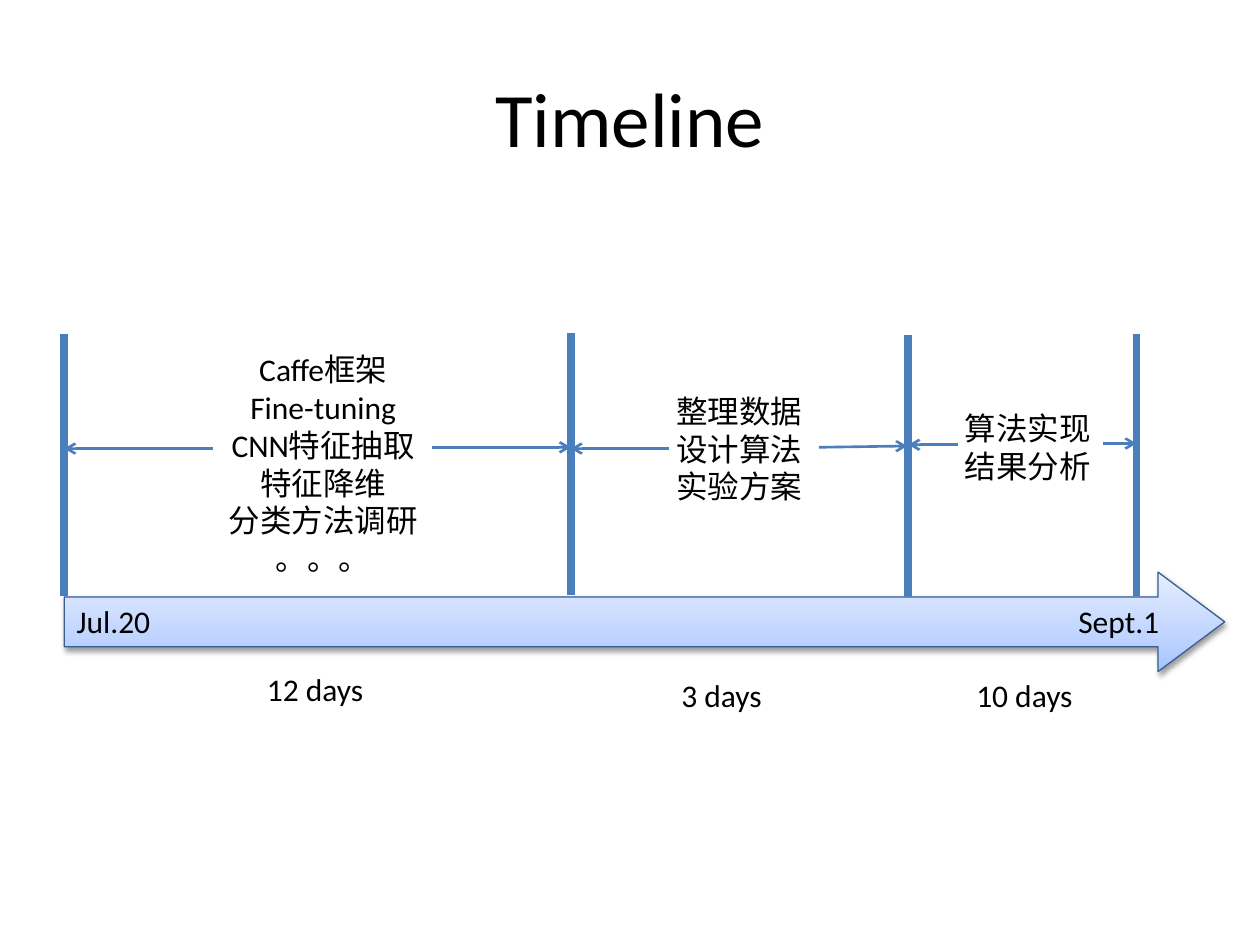
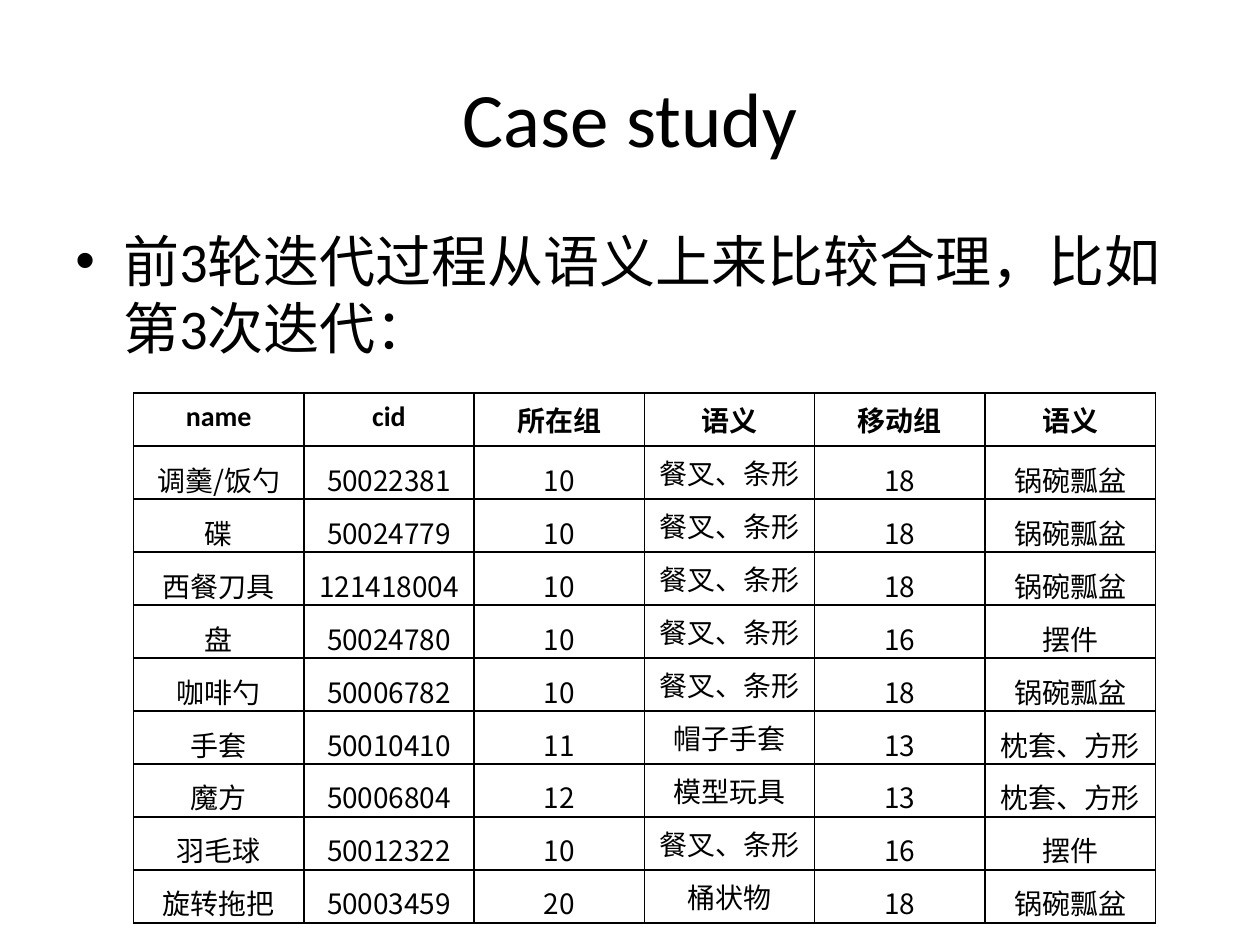
from lxml import etree
from pptx import Presentation
from pptx.dml.color import RGBColor
from pptx.enum.shapes import MSO_CONNECTOR, MSO_SHAPE
from pptx.enum.text import MSO_ANCHOR, MSO_AUTO_SIZE, PP_ALIGN
from pptx.oxml import parse_xml
from pptx.oxml.ns import nsdecls, qn
from pptx.util import Emu, Pt

PX = 9144  # 100 px to the inch
COLORS = {
    "text": "000000",
    "line": "4B7EBC",
    "arrow edge": "376092",
    "arrow bottom": "A4C4FF",
    "arrow middle": "BFD4FF",
    "arrow top": "E6EEFF",
    "border": "000000",
}
LATIN, CHINESE = "Calibri", "Noto Sans CJK SC"
TITLE_BOX = (50, 30, 900, 125)

# Timeline positions are relative to the left and top of the timeline box.
TIMELINE_BOX = (51, 264, 921, 308)
POST_HEIGHT = 208
POSTS = [(0, 1), (402, 0), (670, 2), (851, 1)]
SPANS = [((118, 92), (0, 92)), ((292, 91), (402, 91)),
         ((480, 92), (402, 92)), ((599, 91), (669, 90)),
         ((709, 89), (670, 89)), ((824, 88), (851, 88))]
TASKS = [
    ((103, 9, 205, 192),
     ["Caffe框架", "Fine-tuning", "CNN特征抽取", "特征降维", "分类方法调研", "。。。"]),
    ((433, 42, 205, 101), ["整理数据", "设计算法", "实验方案"]),
    ((662, 56, 205, 71), ["算法实现", "结果分析"]),
]
LABELS = [
    ((0, 209, 110, 40), "Jul.20"),
    ((795, 209, 94, 40), "Sept.1"),
    ((151, 263, 110, 40), "12 days"),
    ((480, 268, 110, 40), "3 days"),
    ((714, 268, 110, 40), "10 days"),
]

MEANING_COLUMN = 3
CASES = [
    ("name", "cid", "所在组", "语义", "移动组", "语义"),
    ("调羹/饭勺", "50022381", "10", "餐叉、条形", "18", "锅碗瓢盆"),
    ("碟", "50024779", "10", "餐叉、条形", "18", "锅碗瓢盆"),
    ("西餐刀具", "121418004", "10", "餐叉、条形", "18", "锅碗瓢盆"),
    ("盘", "50024780", "10", "餐叉、条形", "16", "摆件"),
    ("咖啡勺", "50006782", "10", "餐叉、条形", "18", "锅碗瓢盆"),
    ("手套", "50010410", "11", "帽子手套", "13", "枕套、方形"),
    ("魔方", "50006804", "12", "模型玩具", "13", "枕套、方形"),
    ("羽毛球", "50012322", "10", "餐叉、条形", "16", "摆件"),
    ("旋转拖把", "50003459", "20", "桶状物", "18", "锅碗瓢盆"),
]


def px(*lengths):
    return [Emu(length * PX) for length in lengths]


def offset(box, origin):
    """Move a relative box or point to its place on the page."""
    return (box[0] + origin[0], box[1] + origin[1], *box[2:])


def add_span(para, text, size, latin=LATIN, bold=False):
    span = para.add_run()
    span.text = text
    font = span.font
    font.size, font.name, font.bold = Pt(size), latin, bold
    font.color.rgb = RGBColor.from_string(COLORS["text"])
    properties = span._r.get_or_add_rPr()
    properties.find(qn("a:latin")).addnext(
        parse_xml(f'<a:ea {nsdecls("a")} typeface="{CHINESE}"/>'))


def add_text(page, box, lines, size, align=PP_ALIGN.LEFT,
             anchor=MSO_ANCHOR.TOP, grow=False):
    frame = page.shapes.add_textbox(*px(*box)).text_frame
    frame.word_wrap = True
    frame.vertical_anchor = anchor
    frame.auto_size = MSO_AUTO_SIZE.SHAPE_TO_FIT_TEXT if grow else MSO_AUTO_SIZE.NONE
    for index, line in enumerate(lines):
        para = frame.add_paragraph() if index else frame.paragraphs[0]
        para.alignment = align
        add_span(para, line, size)
    return frame


def add_title(page, title):
    add_text(page, TITLE_BOX, [title], 44, PP_ALIGN.CENTER, MSO_ANCHOR.MIDDLE)


def add_line(page, start, end, width, arrow=False):
    line = page.shapes.add_connector(MSO_CONNECTOR.STRAIGHT, *px(*start, *end))
    line.line.color.rgb = RGBColor.from_string(COLORS["line"])
    line.line.width = Pt(width)
    if arrow:
        etree.SubElement(line.line._get_or_add_ln(), qn("a:tailEnd"), type="arrow")
    etree.SubElement(line._element.spPr, qn("a:effectLst"))


def add_time_arrow(page, box):
    arrow = page.shapes.add_shape(MSO_SHAPE.RIGHT_ARROW, *px(*box))
    arrow.adjustments[0], arrow.adjustments[1] = 0.5, 0.67
    arrow.line.color.rgb = RGBColor.from_string(COLORS["arrow edge"])
    arrow.line.width = Pt(0.75)
    stops = "".join(
        f'<a:gs pos="{place * 1000}"><a:srgbClr val="{COLORS[name]}"/></a:gs>'
        for place, name in [(0, "arrow bottom"), (35, "arrow middle"), (100, "arrow top")])
    properties = arrow._element.spPr
    properties.find(qn("a:prstGeom")).addnext(parse_xml(
        f'<a:gradFill {nsdecls("a")} rotWithShape="1"><a:gsLst>{stops}</a:gsLst>'
        '<a:lin ang="16200000" scaled="0"/></a:gradFill>'))
    properties.append(parse_xml(
        f'<a:effectLst {nsdecls("a")}><a:outerShdw blurRad="{Pt(3.1)}" dist="{Pt(1.6)}"'
        ' dir="5400000" rotWithShape="0"><a:srgbClr val="000000">'
        '<a:alpha val="38000"/></a:srgbClr></a:outerShdw></a:effectLst>'))


def add_timeline(page, box):
    add_time_arrow(page, offset((0, 190, box[2], 79), box))
    for place, lines in TASKS:
        add_text(page, offset(place, box), lines, 18, PP_ALIGN.CENTER, grow=True)
    for left, top in POSTS:
        add_line(page, offset((left, top), box),
                 offset((left, top + POST_HEIGHT), box), 4.5)
    for start, end in SPANS:
        add_line(page, offset(start, box), offset(end, box), 1.5, arrow=True)
    for place, label in LABELS:
        add_text(page, offset(place, box), [label], 18, grow=True)


def add_bullet(page, box, text):
    para = add_text(page, box, [text], 32).paragraphs[0]
    para.space_before = Pt(6.4)
    properties = para._p.get_or_add_pPr()
    indent = 38 * PX
    properties.set("marL", str(indent))
    properties.set("indent", str(-indent))
    etree.SubElement(properties, qn("a:buFont"), typeface="Arial")
    etree.SubElement(properties, qn("a:buChar"), char="•")


def style_cell(cell):
    properties = cell._tc.get_or_add_tcPr()
    for side in ("lnL", "lnR", "lnT", "lnB"):
        properties.append(parse_xml(
            f'<a:{side} {nsdecls("a")} w="{Pt(1)}"><a:solidFill>'
            f'<a:srgbClr val="{COLORS["border"]}"/></a:solidFill></a:{side}>'))
    cell.fill.background()


def add_case_table(page, box):
    table = page.shapes.add_table(len(CASES), len(CASES[0]), *px(*box)).table
    table.first_row = table.horz_banding = False
    for row, values in enumerate(CASES):
        for column, value in enumerate(values):
            cell = table.cell(row, column)
            header = row == 0
            roomy = header or column == MEANING_COLUMN
            if not roomy:
                cell.vertical_anchor = MSO_ANCHOR.BOTTOM
                cell.margin_left, cell.margin_top, cell.margin_right, cell.margin_bottom = px(1, 1, 1, 0)
            style_cell(cell)
            para = cell.text_frame.paragraphs[0]
            para.alignment = PP_ALIGN.CENTER
            add_span(para, value, 16, LATIN if roomy else CHINESE, header)


def build_timeline_page(page):
    add_title(page, "Timeline")
    add_timeline(page, TIMELINE_BOX)


def build_case_page(page):
    add_title(page, "Case study")
    add_bullet(page, (50, 175, 900, 495),
               "前3轮迭代过程从语义上来比较合理，比如第3次迭代：")
    add_case_table(page, (106, 312, 811, 360))


def main():
    deck = Presentation()
    deck.slide_width, deck.slide_height = px(1000, 750)
    for build in (build_timeline_page, build_case_page):
        build(deck.slides.add_slide(deck.slide_layouts[6]))
    deck.save("out.pptx")


if __name__ == "__main__":
    main()
